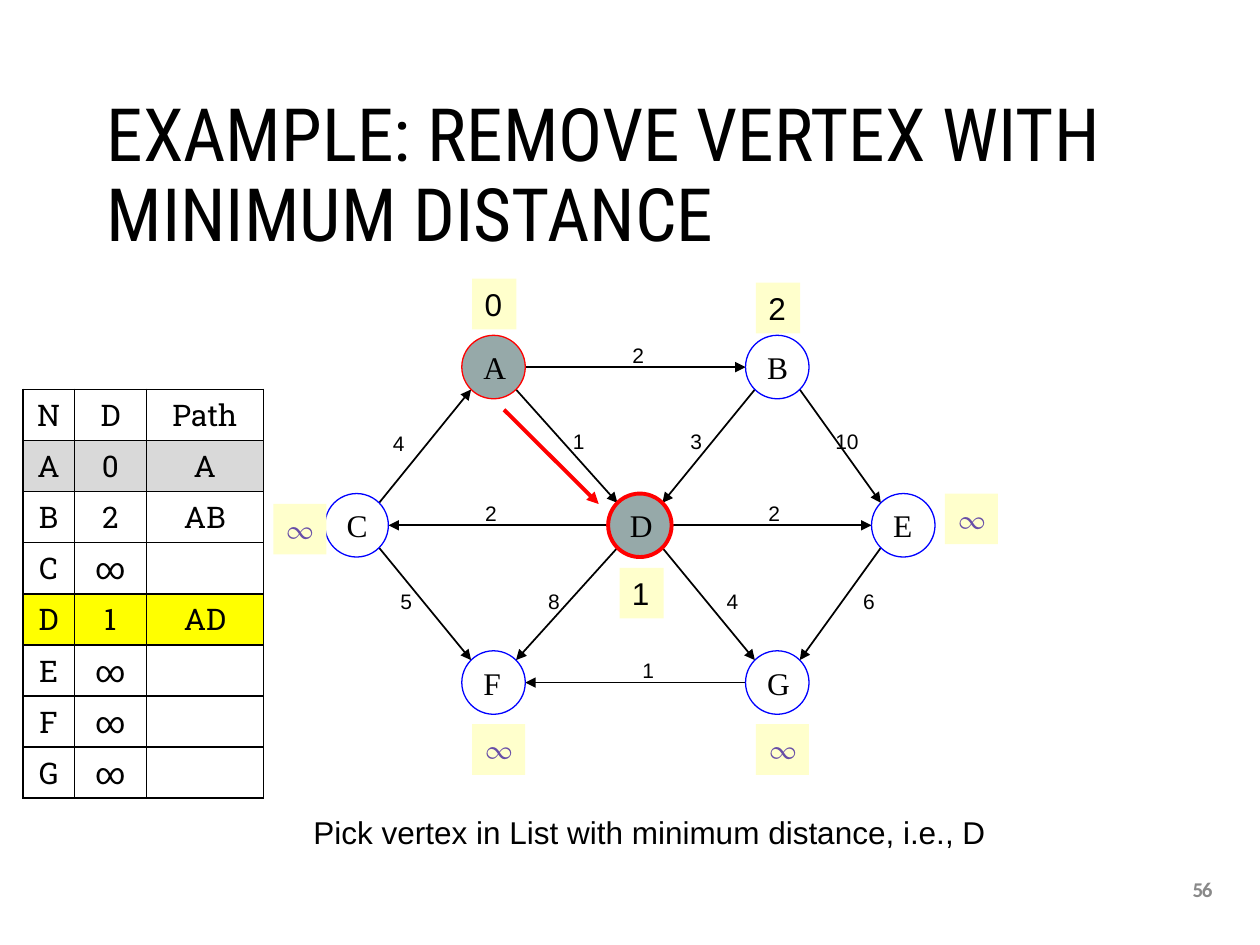
import math

import lxml.etree
import pptx
import pptx.dml.color
import pptx.enum.shapes
import pptx.enum.text
import pptx.oxml.ns
import pptx.util

Cm = pptx.util.Cm
Pt = pptx.util.Pt
RGBColor = pptx.dml.color.RGBColor
Shape = pptx.enum.shapes.MSO_SHAPE
Anchor = pptx.enum.text.MSO_ANCHOR
Align = pptx.enum.text.PP_ALIGN

BLACK = RGBColor(0x00, 0x00, 0x00)
RED = RGBColor(0xFF, 0x00, 0x00)
BLUE = RGBColor(0x00, 0x00, 0xFF)
VISITED = RGBColor(0x96, 0xA9, 0xA9)
CREAM = RGBColor(0xFF, 0xFF, 0xCC)
PURPLE = RGBColor(0x67, 0x4E, 0xA7)
PAGE_GRAY = RGBColor(0x89, 0x89, 0x89)
DONE_GRAY = RGBColor(0xD9, 0xD9, 0xD9)
YELLOW = RGBColor(0xFF, 0xFF, 0x00)

RADIUS = 0.64
TOP, MIDDLE, BOTTOM = 1.8, 4.99, 8.16
# Vertex: centre, distance, offset of the distance tag from the centre
VERTICES = {
    "A": (4.45, TOP, "0", -0.43, -1.78),
    "B": (10.17, TOP, "2", -0.43, -1.7),
    "C": (1.69, MIDDLE, "∞", -1.68, -0.43),
    "D": (7.4, MIDDLE, "1", -0.41, 0.86),
    "E": (12.71, MIDDLE, "∞", 0.84, -0.64),
    "F": (4.45, BOTTOM, "∞", -0.43, 0.84),
    "G": (10.17, BOTTOM, "∞", -0.43, 0.84),
}
VISITED_BORDERS = {"A": 0.75, "D": 2.25}
# Edge: start, end, weight, centre of the weight label
EDGES = [
    ("A", "B", "2", 7.38, 1.56),
    ("A", "D", "1", 6.18, 3.29),
    ("B", "D", "3", 8.55, 3.29),
    ("B", "E", "10", 11.59, 3.29),
    ("C", "A", "4", 2.55, 3.34),
    ("C", "F", "5", 2.7, 6.52),
    ("D", "C", "2", 4.41, 4.74),
    ("D", "E", "2", 10.12, 4.74),
    ("D", "F", "8", 5.68, 6.52),
    ("D", "G", "4", 9.28, 6.52),
    ("E", "G", "6", 12.03, 6.52),
    ("G", "F", "1", 7.58, 7.91),
]
TABLE_ROWS = [
    ("N", "D", "Path"),
    ("A", "0", "A"),
    ("B", "2", "AB"),
    ("C", "∞", ""),
    ("D", "1", "AD"),
    ("E", "∞", ""),
    ("F", "∞", ""),
    ("G", "∞", ""),
]
ROW_FILLS = {1: DONE_GRAY, 4: YELLOW}


def write_text(frame, text, size=18, font="Arial", color=BLACK, bold=False,
               align=Align.LEFT, anchor=Anchor.TOP, wrap=False,
               line_spacing=None, character_spacing=None):
    frame.word_wrap = wrap
    frame.vertical_anchor = anchor
    paragraph = frame.paragraphs[0]
    paragraph.alignment = align
    paragraph.line_spacing = line_spacing
    run = paragraph.add_run()
    run.text = text
    run.font.size = Pt(size)
    run.font.name = font
    run.font.bold = bold
    run.font.color.rgb = color
    if character_spacing is not None:
        run.font._element.set("spc", str(round(character_spacing * 100)))


def add_text(slide, text, left, top, width, height, **text_format):
    box = slide.shapes.add_textbox(Cm(left), Cm(top), Cm(width), Cm(height))
    write_text(box.text_frame, text, **text_format)


def add_filled_shape(slide, kind, left, top, width, height, fill=None, line=None, line_width=0.75):
    shape = slide.shapes.add_shape(kind, Cm(left), Cm(top), Cm(width), Cm(height))
    shape.shadow.inherit = False
    if fill is None:
        shape.fill.background()
    else:
        shape.fill.solid()
        shape.fill.fore_color.rgb = fill
    if line is None:
        shape.line.fill.background()
    else:
        shape.line.color.rgb = line
        shape.line.width = Pt(line_width)
    return shape


def add_arrow(slide, start, end, color=BLACK, width=1):
    arrow = slide.shapes.add_connector(
        pptx.enum.shapes.MSO_CONNECTOR.STRAIGHT, *(Cm(length) for length in (*start, *end)))
    arrow.line.color.rgb = color
    arrow.line.width = Pt(width)
    line = arrow.line._get_or_add_ln()
    lxml.etree.SubElement(line, pptx.oxml.ns.qn("a:tailEnd"), type="triangle")
    lxml.etree.SubElement(arrow._element.spPr, pptx.oxml.ns.qn("a:effectLst"))


def edge_ends(start, end):
    """Ends on the circles: at the side within a row, at 45 degrees between rows."""
    (start_x, start_y), (end_x, end_y) = VERTICES[start][:2], VERTICES[end][:2]
    reach = RADIUS if start_y == end_y else RADIUS * math.sqrt(0.5)
    step_x = math.copysign(reach, end_x - start_x)
    step_y = 0 if start_y == end_y else math.copysign(reach, end_y - start_y)
    return (start_x + step_x, start_y + step_y), (end_x - step_x, end_y - step_y)


def add_vertex(slide, name, x, y):
    visited = name in VISITED_BORDERS
    circle = add_filled_shape(
        slide, Shape.OVAL, x - RADIUS, y - RADIUS, 2 * RADIUS, 2 * RADIUS,
        fill=VISITED if visited else None, line=RED if visited else BLUE,
        line_width=VISITED_BORDERS.get(name, 0.75))
    write_text(circle.text_frame, name, font="Times New Roman", anchor=Anchor.MIDDLE)


def add_distance_tag(slide, distance, left, top):
    unknown = distance == "∞"
    tag = add_filled_shape(slide, Shape.RECTANGLE, left, top, 1.07 if unknown else 0.89, 1.02, fill=CREAM)
    write_text(tag.text_frame, distance, font="TeX Gyre Pagella" if unknown else "Arial",
               color=PURPLE if unknown else BLACK)


def add_graph(slide, left, top):
    for start, end, *_ in EDGES:
        add_arrow(slide, *[(left + x, top + y) for x, y in edge_ends(start, end)])
    for name, (x, y, *_) in VERTICES.items():
        add_vertex(slide, name, left + x, top + y)
    for _, _, weight, x, y in EDGES:
        width = 0.52 + 0.24 * len(weight)
        add_text(slide, weight, left + x - width / 2, top + y - 0.38, width, 0.76,
                 size=12, anchor=Anchor.MIDDLE)
    for x, y, distance, tag_x, tag_y in VERTICES.values():
        add_distance_tag(slide, distance, left + x + tag_x, top + y + tag_y)
    add_arrow(slide, (left + 4.66, top + 2.66), (left + 6.57, top + 4.56), color=RED, width=2.25)


def border_cell(cell):
    properties = cell._tc.get_or_add_tcPr()
    for index, side in enumerate(("lnL", "lnR", "lnT", "lnB")):
        border = lxml.etree.Element(pptx.oxml.ns.qn(f"a:{side}"), w=str(Pt(1)))
        fill = lxml.etree.SubElement(border, pptx.oxml.ns.qn("a:solidFill"))
        lxml.etree.SubElement(fill, pptx.oxml.ns.qn("a:srgbClr"), val=str(BLACK))
        properties.insert(index, border)


def add_distance_table(slide, left, top, column_widths, row_height):
    frame = slide.shapes.add_table(
        len(TABLE_ROWS), len(column_widths), Cm(left), Cm(top),
        Cm(sum(column_widths)), Cm(row_height * len(TABLE_ROWS)))
    table = frame.table
    for column, width in zip(table.columns, column_widths):
        column.width = Cm(width)
    for row_index, values in enumerate(TABLE_ROWS):
        table.rows[row_index].height = Cm(row_height)
        for column_index, value in enumerate(values):
            cell = table.cell(row_index, column_index)
            cell.margin_left = cell.margin_right = Cm(0.1)
            cell.margin_top = cell.margin_bottom = Cm(0)
            cell.vertical_anchor = Anchor.MIDDLE
            if row_index in ROW_FILLS:
                cell.fill.solid()
                cell.fill.fore_color.rgb = ROW_FILLS[row_index]
            else:
                cell.fill.background()
            border_cell(cell)
            if value:
                write_text(cell.text_frame, value, size=17, font="Roboto Slab",
                           align=Align.CENTER, anchor=Anchor.MIDDLE, wrap=True)


def main():
    presentation = pptx.Presentation()
    presentation.slide_width = Cm(25.4)
    presentation.slide_height = Cm(19.05)
    slide = presentation.slides.add_slide(presentation.slide_layouts[6])
    add_text(slide, "EXAMPLE: REMOVE VERTEX WITH MINIMUM DISTANCE", 1.9, 1.35, 21.6, 4.47,
             size=42, font="Roboto Condensed", anchor=Anchor.MIDDLE, wrap=True, line_spacing=0.9)
    add_graph(slide, 5.5, 5.6)
    add_distance_table(slide, 0.46, 7.85, (1.04, 1.45, 2.36), 1.03)
    add_text(slide, "Pick vertex in List with minimum distance, i.e., D", 6.07, 16.26, 14.2, 1.02)
    add_text(slide, "56", 23.57, 17.42, 1.35, 1.02, size=12, font="Calibri", color=PAGE_GRAY,
             bold=True, align=Align.CENTER, anchor=Anchor.MIDDLE, wrap=True, character_spacing=-0.7)
    presentation.save("out.pptx")


if __name__ == "__main__":
    main()
